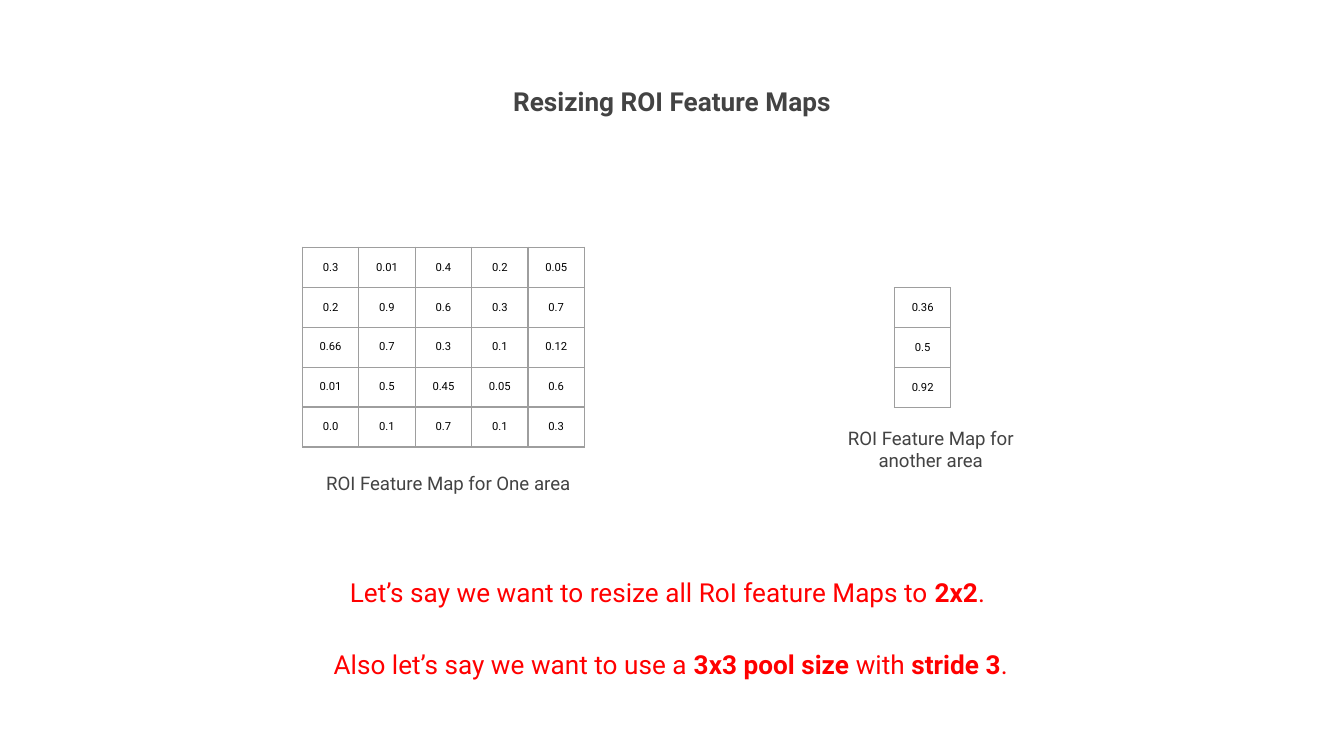
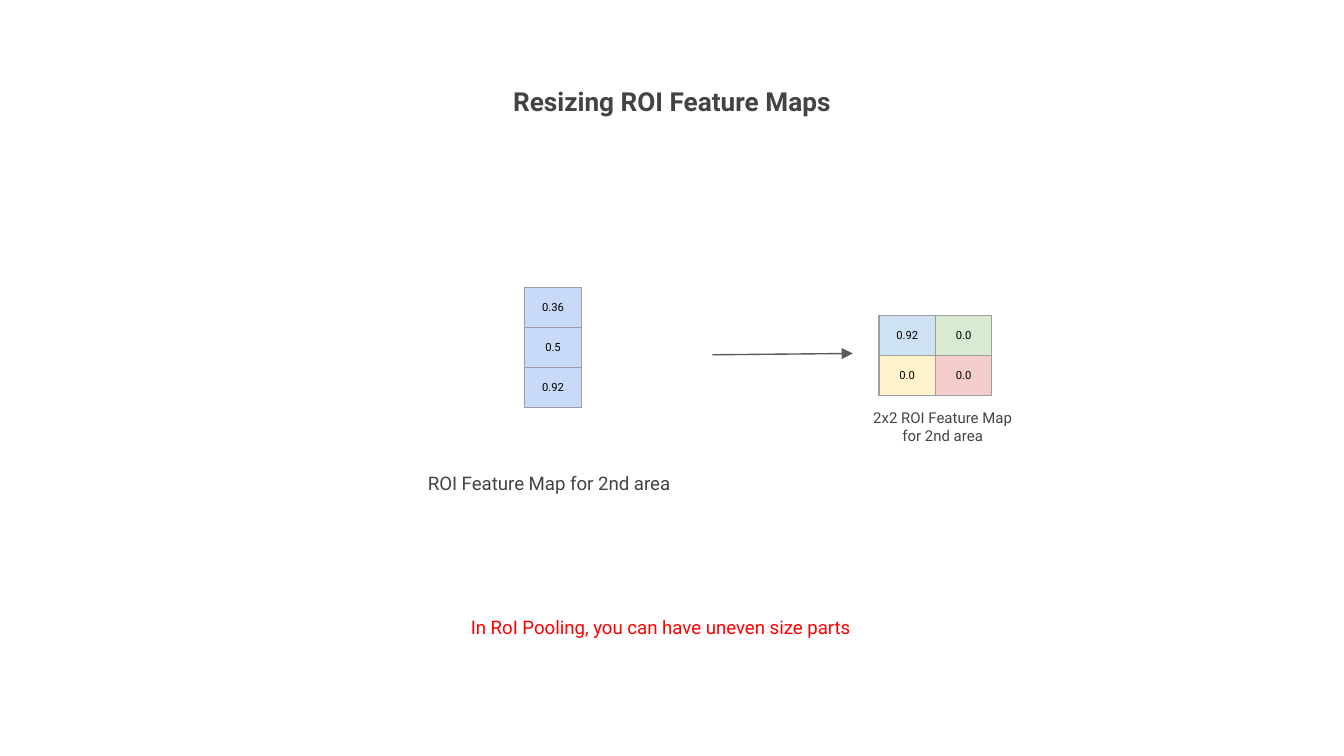
"""Build two slides on resizing ROI feature maps to a fixed 2x2 size."""
from dataclasses import dataclass

from lxml.etree import SubElement
from pptx import Presentation
from pptx.dml.color import RGBColor as Rgb
from pptx.enum.shapes import MSO_CONNECTOR as Connector
from pptx.enum.text import MSO_ANCHOR as Anchor, MSO_AUTO_SIZE as AutoSize, PP_ALIGN as Align
from pptx.oxml.ns import qn
from pptx.util import Pt

PX = 4572
INSET = 20 * PX
CELL_WIDTH, CELL_HEIGHT = 84, 58


@dataclass(frozen=True)
class Theme:
    font: str = "Roboto"
    text: str = "434343"
    remark: str = "FF0000"
    value: str = "000000"
    grid: str = "9E9E9E"
    arrow: str = "595959"
    area: str = "C9DAF8"
    pooled: tuple = (("CFE2F3", "D9EAD3"), ("FFF2CC", "F4CCCC"))
    line: float = 0.75
    title_size: int = 14
    caption_size: int = 10
    small_size: int = 8
    value_size: int = 6


theme = Theme()


def write(frame, paragraphs, size, colour, spacing=None, gap=0):
    frame.word_wrap = True
    frame.margin_left = frame.margin_right = frame.margin_top = frame.margin_bottom = INSET
    for index, runs in enumerate(paragraphs):
        paragraph = frame.add_paragraph() if index else frame.paragraphs[0]
        paragraph.alignment = Align.CENTER
        if spacing:
            paragraph.line_spacing = spacing
        if index:
            paragraph.space_before = Pt(gap)
        for words, bold in runs:
            run = paragraph.add_run()
            run.text = words
            run.font.name = theme.font
            run.font.size = Pt(size)
            run.font.bold = bold
            run.font.color.rgb = Rgb.from_string(colour)


def add_feature_map(slide, left, top, values, fills=None):
    rows, columns = len(values), len(values[0])
    grid = slide.shapes.add_table(rows, columns, left * PX, top * PX,
                                  columns * CELL_WIDTH * PX, rows * CELL_HEIGHT * PX).table
    grid.first_row = grid.horz_banding = False
    for row in range(rows):
        for column in range(columns):
            cell = grid.cell(row, column)
            write(cell.text_frame, [[(values[row][column], False)]], theme.value_size, theme.value)
            cell.margin_left = cell.margin_right = cell.margin_top = cell.margin_bottom = INSET
            properties = cell._tc.get_or_add_tcPr()
            for side in ("a:lnL", "a:lnR", "a:lnT", "a:lnB"):
                border = SubElement(properties, qn(side), w=str(Pt(theme.line)))
                SubElement(SubElement(border, qn("a:solidFill")), qn("a:srgbClr"), val=theme.grid)
            if fills:
                cell.fill.solid()
                cell.fill.fore_color.rgb = Rgb.from_string(fills[row][column])
            else:
                cell.fill.background()


first_area = (
    ("0.3", "0.01", "0.4", "0.2", "0.05"),
    ("0.2", "0.9", "0.6", "0.3", "0.7"),
    ("0.66", "0.7", "0.3", "0.1", "0.12"),
    ("0.01", "0.5", "0.45", "0.05", "0.6"),
    ("0.0", "0.1", "0.7", "0.1", "0.3"),
)
second_area = (("0.36",), ("0.5",), ("0.92",))
pooled_area = (("0.92", "0.0"), ("0.0", "0.0"))

resize_goal = [
    [("Let’s say we want to resize all RoI feature Maps to ", False), ("2x2", True), (". ", False)],
    [("Also let’s say we want to use a ", False), ("3x3 pool size", True),
     (" with ", False), ("stride 3", True), (".", False)],
]
uneven_parts = [[("In RoI Pooling, you can have uneven size parts", False)]]

deck = Presentation()
deck.slide_width, deck.slide_height = 2000 * PX, 1125 * PX
title_only = deck.slide_layouts[5]
setup, result = (deck.slides.add_slide(title_only) for _ in range(2))

for slide in (setup, result):
    title = slide.shapes.title
    title.left, title.top, title.width, title.height = 566 * PX, 88 * PX, 868 * PX, 118 * PX
    title.text_frame.auto_size = AutoSize.NONE
    title.text_frame.vertical_anchor = Anchor.MIDDLE
    write(title.text_frame, [[("Resizing ROI Feature Maps", True)]],
          theme.title_size, theme.text, 1.15)

add_feature_map(setup, 1331, 428, second_area)
add_feature_map(setup, 450, 368, first_area)
add_feature_map(result, 1308, 470, pooled_area, theme.pooled)
add_feature_map(result, 781, 428, second_area, [[theme.area]] * len(second_area))

captions = (
    (setup, 1225, 629, 320, "ROI Feature Map for another area", theme.caption_size),
    (setup, 374, 680, 586, "ROI Feature Map for One area", theme.caption_size),
    (result, 524, 680, 586, "ROI Feature Map for 2nd area", theme.caption_size),
    (result, 1269, 596, 268, "2x2 ROI Feature Map for 2nd area", theme.small_size),
)
for slide, left, top, width, words, size in captions:
    caption = slide.shapes.add_textbox(left * PX, top * PX, width * PX, 78 * PX).text_frame
    caption.vertical_anchor = Anchor.MIDDLE
    write(caption, [[(words, False)]], size, theme.text)

remarks = (
    (setup, 450, 1096, resize_goal, theme.title_size),
    (result, 549, 868, uneven_parts, theme.caption_size),
)
for slide, left, width, paragraphs, size in remarks:
    remark = slide.shapes.add_textbox(left * PX, 855 * PX, width * PX, 152 * PX).text_frame
    remark.vertical_anchor = Anchor.MIDDLE
    write(remark, paragraphs, size, theme.remark, 1.15, 19)

pooling = result.shapes.add_connector(Connector.STRAIGHT, 1060 * PX, 528 * PX, 1269 * PX, 526 * PX)
pooling.line.width = Pt(theme.line)
pooling.line.color.rgb = Rgb.from_string(theme.arrow)
SubElement(pooling.line._get_or_add_ln(), qn("a:tailEnd"), type="triangle", w="med", len="med")
SubElement(pooling._element.spPr, qn("a:effectLst"))

deck.save("out.pptx")
